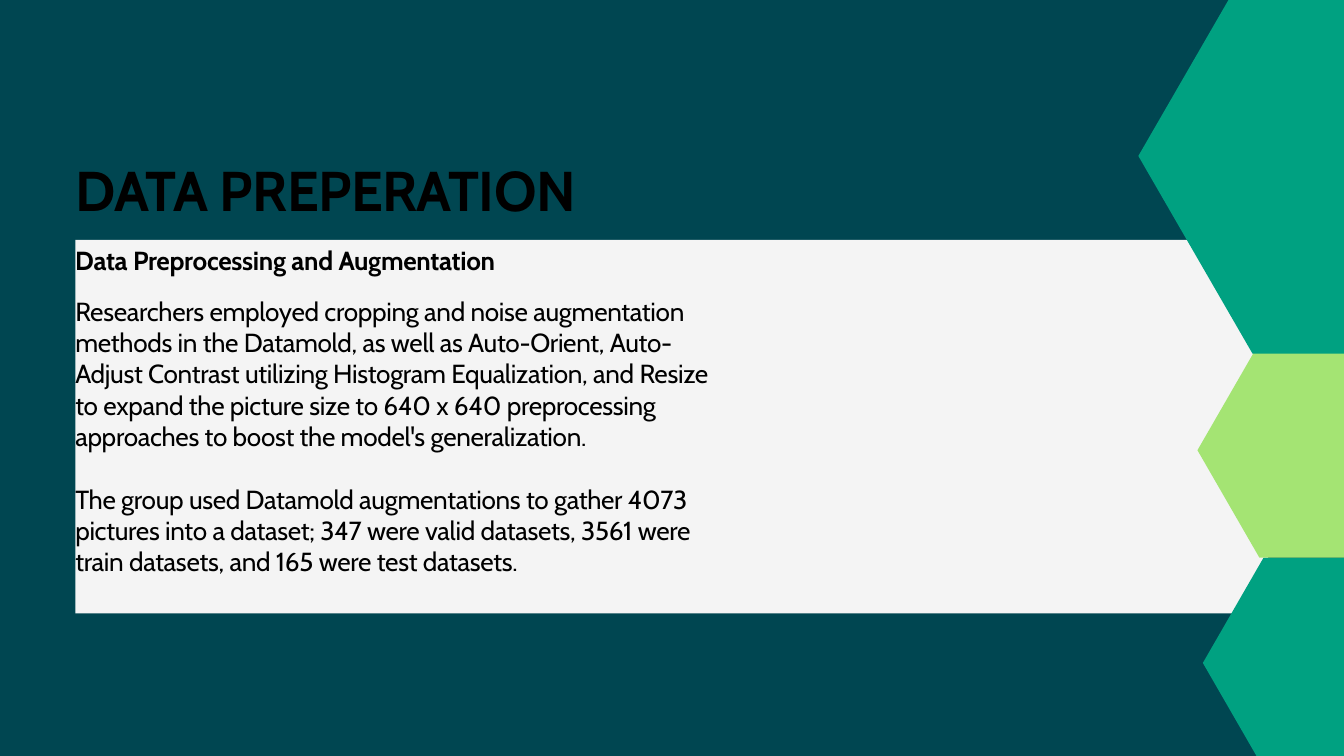
from dataclasses import dataclass

from pptx import Presentation
from pptx.dml.color import RGBColor
from pptx.enum.shapes import MSO_SHAPE as Preset
from pptx.enum.text import MSO_AUTO_SIZE as AutoSize
from pptx.util import Pt

COLOURS = {
    "background": "004651",
    "panel": "F4F4F4",
    "green": "00A181",
    "lime": "A4E473",
    "text": "000000",
}
FONT = "Cabin"
MARGIN = 80.64
BODY_LEADING = 33.6


@dataclass(frozen=True)
class Hexagon:
    left: float
    top: float
    width: float
    height: float
    colour: str


LOWER_HEXAGON = Hexagon(1288.8, 597.6, 260, 225.4, "green")
MIDDLE_HEXAGON = Hexagon(1283, 367.2, 265.7, 230.4, "lime")
UPPER_HEXAGON = Hexagon(1219.7, -44.6, 489.2, 423.4, "green")

BODY = [
    "Researchers employed cropping and noise augmentation methods in the Datamold, "
    "as well as Auto-Orient, Auto-Adjust Contrast utilizing Histogram Equalization, "
    "and Resize to expand the picture size to 640 x 640 preprocessing approaches "
    "to boost the model's generalization.",
    "The group used Datamold augmentations to gather 4073 pictures into a dataset; "
    "347 were valid datasets, 3561 were train datasets, and 165 were test datasets.",
]


def rgb(name: str) -> RGBColor:
    return RGBColor.from_string(COLOURS[name])


def paint(shape, colour: str) -> None:
    shape.shadow.inherit = False
    shape.fill.solid()
    shape.fill.fore_color.rgb = rgb(colour)
    shape.line.fill.background()


def draw_hexagon(slide, hexagon: Hexagon) -> None:
    """Draw a flat-topped hexagon whose corners sit a quarter of the width in."""
    left, top = hexagon.left, hexagon.top
    right, bottom = left + hexagon.width, top + hexagon.height
    inset, middle = hexagon.width / 4, top + hexagon.height / 2
    corners = [
        (left, middle), (left + inset, top), (right - inset, top),
        (right, middle), (right - inset, bottom), (left + inset, bottom),
    ]
    points = [(Pt(x), Pt(y)) for x, y in corners]
    outline = slide.shapes.build_freeform(*points[0])
    outline.add_line_segments(points[1:], close=True)
    paint(outline.convert_to_shape(), hexagon.colour)


def write(slide, paragraphs: list[str], *, top: float, width: float, height: float,
          size: float = 28, leading: float = BODY_LEADING, bold: bool = False,
          tracking: float = -0.3, gap: float = 0) -> None:
    """Write paragraphs at the left margin, with gap points between them."""
    box = slide.shapes.add_textbox(Pt(MARGIN), Pt(top), Pt(width), Pt(height))
    frame = box.text_frame
    frame.word_wrap = True
    frame.auto_size = AutoSize.SHAPE_TO_FIT_TEXT
    frame.margin_left = frame.margin_right = frame.margin_top = frame.margin_bottom = 0
    for index, text in enumerate(paragraphs):
        paragraph = frame.add_paragraph() if index else frame.paragraphs[0]
        paragraph.line_spacing = Pt(leading)
        if index:
            paragraph.space_before = Pt(gap)
        run = paragraph.add_run()
        run.text = text
        run.font.name = FONT
        run.font.size = Pt(size)
        run.font.bold = bold
        run.font.color.rgb = rgb("text")
        run._r.get_or_add_rPr().set("spc", str(round(tracking * 100)))


def main() -> None:
    deck = Presentation()
    deck.slide_width, deck.slide_height = Pt(1440), Pt(810)
    slide = deck.slides.add_slide(deck.slide_layouts[6])
    slide.background.fill.solid()
    slide.background.fill.fore_color.rgb = rgb("background")

    panel = slide.shapes.add_shape(
        Preset.RECTANGLE, Pt(MARGIN), Pt(257), Pt(1278), Pt(400.3))
    paint(panel, "panel")
    write(slide, ["DATA PREPERATION"], top=166.3, width=548, height=72.7,
          size=60, leading=72, bold=True, tracking=-0.6)
    draw_hexagon(slide, LOWER_HEXAGON)
    draw_hexagon(slide, MIDDLE_HEXAGON)
    write(slide, BODY, top=316, width=680.4, height=329.8, gap=BODY_LEADING)
    write(slide, ["Data Preprocessing and Augmentation"], top=261.4, width=480.2,
          height=33.1, bold=True)
    draw_hexagon(slide, UPPER_HEXAGON)

    deck.save("out.pptx")


if __name__ == "__main__":
    main()
